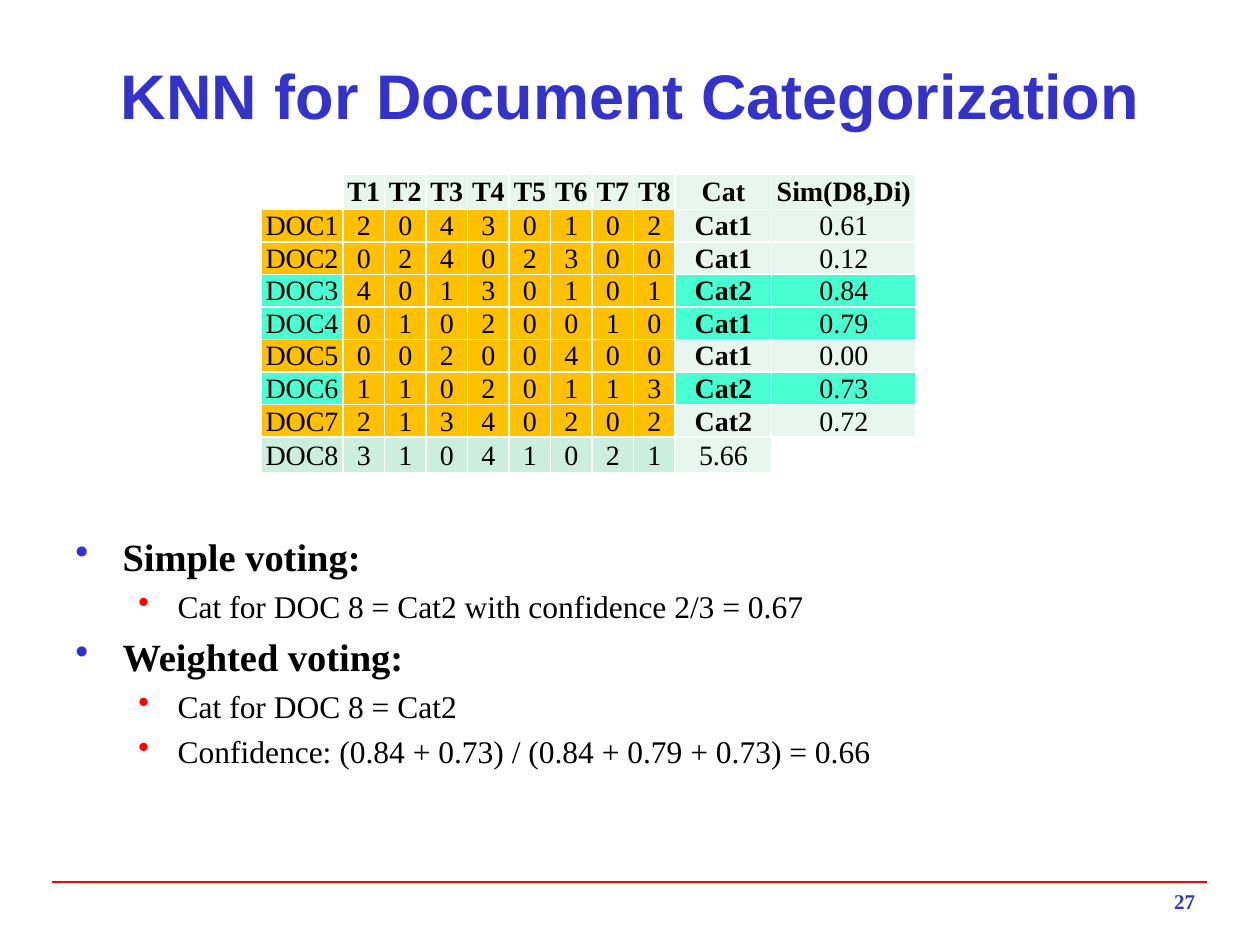
from lxml import etree
from pptx import Presentation
from pptx.dml.color import RGBColor
from pptx.enum.shapes import MSO_CONNECTOR
from pptx.enum.text import MSO_ANCHOR, PP_ALIGN
from pptx.oxml.ns import qn
from pptx.util import Pt

STRAIGHT = MSO_CONNECTOR.STRAIGHT
MIDDLE = MSO_ANCHOR.MIDDLE
CENTER, RIGHT = PP_ALIGN.CENTER, PP_ALIGN.RIGHT
TITLE_ONLY = 5

COLORS = {
    "blue": "3333CC",
    "red": "FF0000",
    "black": "000000",
    "white": "FFFFFF",
    "pale": "E7F6EF",
    "query": "CCEEDF",
    "training": "FFC000",
    "neighbour": "47FFD1",
}
HEADING_FONT, BODY_FONT = "Arial", "Times New Roman"

HEADER = ["", *[f"T{term}" for term in range(1, 9)], "Cat", "Sim(D8,Di)"]
DOCUMENTS = [
    ("DOC1", "20430102", "Cat1", "0.61"),
    ("DOC2", "02402300", "Cat1", "0.12"),
    ("DOC3", "40130101", "Cat2", "0.84"),
    ("DOC4", "01020010", "Cat1", "0.79"),
    ("DOC5", "00200400", "Cat1", "0.00"),
    ("DOC6", "11020113", "Cat2", "0.73"),
    ("DOC7", "21340202", "Cat2", "0.72"),
    ("DOC8", "31041021", "5.66", ""),
]
NEIGHBOURS = {"DOC3", "DOC4", "DOC6"}
QUERY = "DOC8"
CATEGORY_COLUMN = 9

VOTING = [
    (0, "Simple voting:"),
    (1, "Cat for DOC 8 = Cat2 with confidence 2/3 = 0.67"),
    (0, "Weighted voting:"),
    (1, "Cat for DOC 8 = Cat2"),
    (1, "Confidence: (0.84 + 0.73) / (0.84 + 0.79 + 0.73) = 0.66"),
]
LEVELS = [
    {"size": 22, "bold": True, "bullet": "blue", "margin": 27, "indent": -27, "before": 4.8},
    {"size": 18, "bold": False, "bullet": "red", "margin": 58.5, "indent": -22.5, "before": 4.4},
]


def rgb(name):
    return RGBColor.from_string(COLORS[name])


def format_paragraph(paragraph, font_name, size, color, bold, alignment=None):
    paragraph.alignment = alignment
    for run in paragraph.runs:
        run.font.name = font_name
        run.font.size = Pt(size)
        run.font.bold = bold
        run.font.color.rgb = rgb(color)


def place_title(slide, left, top, width, height):
    title = slide.shapes.title
    title.left, title.top, title.width, title.height = map(Pt, (left, top, width, height))
    title.text_frame.text = "KNN for Document Categorization"
    title.text_frame.vertical_anchor = MIDDLE
    format_paragraph(title.text_frame.paragraphs[0], HEADING_FONT, 36, "blue", True, CENTER)


def cell_fill(label, column):
    if not label:
        return "pale" if column else "white"
    if label == QUERY:
        return "query" if column < CATEGORY_COLUMN else "pale" if column == CATEGORY_COLUMN else "white"
    if 0 < column < CATEGORY_COLUMN:
        return "training"
    if label in NEIGHBOURS:
        return "neighbour"
    return "pale" if column else "training"


def add_borders(cell):
    properties = cell._tc.get_or_add_tcPr()
    for side in ("a:lnL", "a:lnR", "a:lnT", "a:lnB"):
        border = etree.SubElement(properties, qn(side), w=str(Pt(1)))
        fill = etree.SubElement(border, qn("a:solidFill"))
        etree.SubElement(fill, qn("a:srgbClr"), val=COLORS["white"])


def fill_cell(cell, text, fill, bold):
    cell.text_frame.text = text
    cell.vertical_anchor = MIDDLE
    cell.margin_left = cell.margin_right = cell.margin_top = Pt(0.7)
    cell.margin_bottom = Pt(0)
    paragraph = cell.text_frame.paragraphs[0]
    format_paragraph(paragraph, BODY_FONT, 16, "black", bold, CENTER)
    if not text:
        etree.SubElement(paragraph._p, qn("a:endParaRPr"), sz="1600")
    add_borders(cell)
    cell.fill.solid()
    cell.fill.fore_color.rgb = rgb(fill)


def place_term_table(slide, left, top, width, height):
    rows = [HEADER] + [[label, *counts, category, similarity]
                       for label, counts, category, similarity in DOCUMENTS]
    frame = slide.shapes.add_table(len(rows), len(HEADER), *map(Pt, (left, top, width, height)))
    table = frame.table
    table.first_row = table.horz_banding = False
    label_width, category_width, similarity_width = 46.8, 55.2, 82.4
    term_width = (width - label_width - category_width - similarity_width) / 8
    widths = [label_width, *[term_width] * 8, category_width, similarity_width]
    for column, column_width in zip(table.columns, widths):
        column.width = Pt(column_width)
    for row_index, values in enumerate(rows):
        table.rows[row_index].height = Pt(height / len(rows))
        label = values[0]
        for column_index, value in enumerate(values):
            bold = not label or (column_index == CATEGORY_COLUMN and label != QUERY)
            fill_cell(table.cell(row_index, column_index), value,
                      cell_fill(label, column_index), bold)


def add_bullet(paragraph, level):
    properties = paragraph._p.get_or_add_pPr()
    properties.set("marL", str(Pt(level["margin"])))
    properties.set("indent", str(Pt(level["indent"])))
    color = etree.SubElement(properties, qn("a:buClr"))
    etree.SubElement(color, qn("a:srgbClr"), val=COLORS[level["bullet"]])
    etree.SubElement(properties, qn("a:buChar"), char="•")


def place_voting(slide, left, top, width, height):
    text_frame = slide.shapes.add_textbox(*map(Pt, (left, top, width, height))).text_frame
    text_frame.word_wrap = True
    text_frame.text = "\n".join(text for _, text in VOTING)
    for paragraph, (depth, _) in zip(text_frame.paragraphs, VOTING):
        level = LEVELS[depth]
        paragraph.level = depth
        paragraph.space_before = Pt(level["before"])
        add_bullet(paragraph, level)
        format_paragraph(paragraph, BODY_FONT, level["size"], "black", level["bold"])


def place_footer(slide, left, top, width, height):
    rule = slide.shapes.add_connector(STRAIGHT, Pt(left), Pt(top), Pt(left + width), Pt(top))
    rule.line.color.rgb = rgb("red")
    rule.line.width = Pt(1)
    etree.SubElement(rule._element.spPr, qn("a:effectLst"))
    number_width = 150
    number = slide.shapes.add_textbox(Pt(left + width - number_width), Pt(top),
                                      Pt(number_width), Pt(height))
    number.text_frame.word_wrap = True
    number.text_frame.text = "27"
    format_paragraph(number.text_frame.paragraphs[0], BODY_FONT, 12, "blue", True, RIGHT)


def main():
    presentation = Presentation()
    presentation.slide_width, presentation.slide_height = Pt(720), Pt(540)
    slide = presentation.slides.add_slide(presentation.slide_layouts[TITLE_ONLY])
    place_title(slide, 36, 30, 648, 48)
    place_term_table(slide, 149.2, 99.4, 374.4, 167.4)
    place_voting(slide, 36, 301, 648, 179)
    place_footer(slide, 30, 504, 660, 24)
    presentation.save("out.pptx")


if __name__ == "__main__":
    main()
